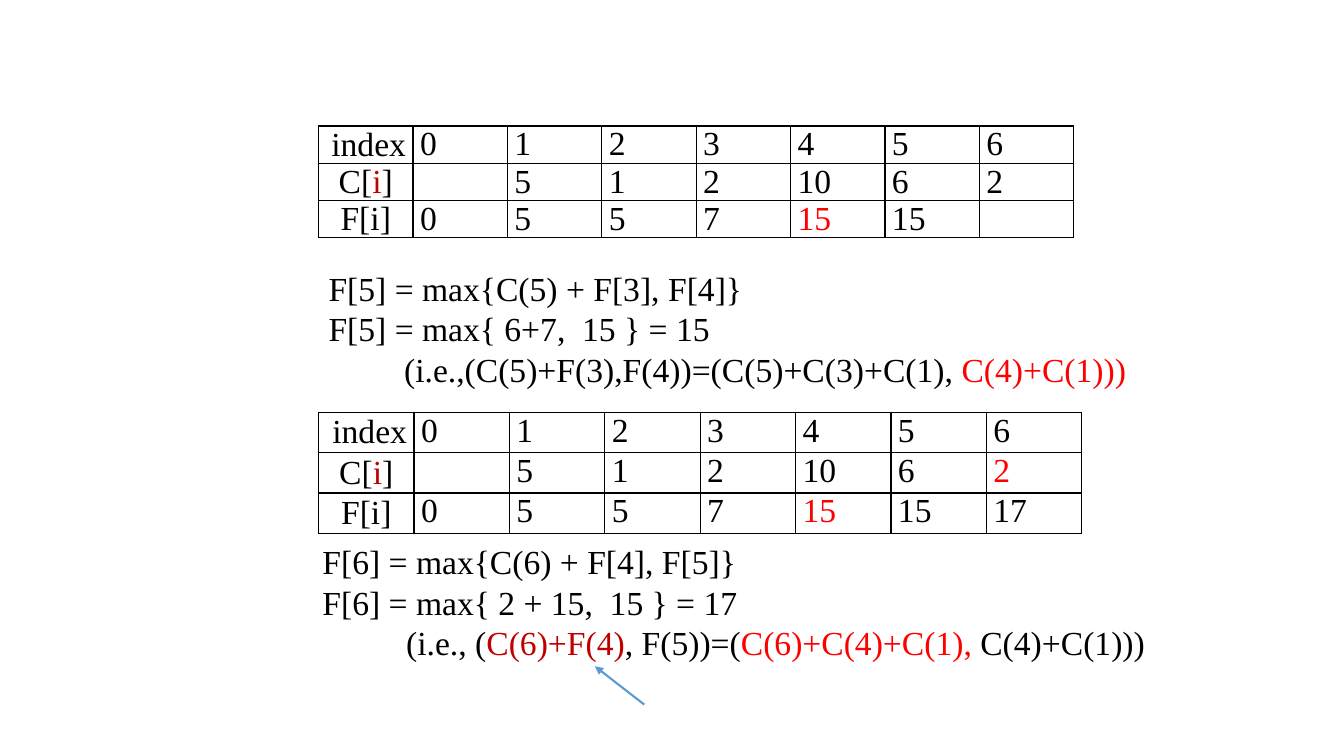
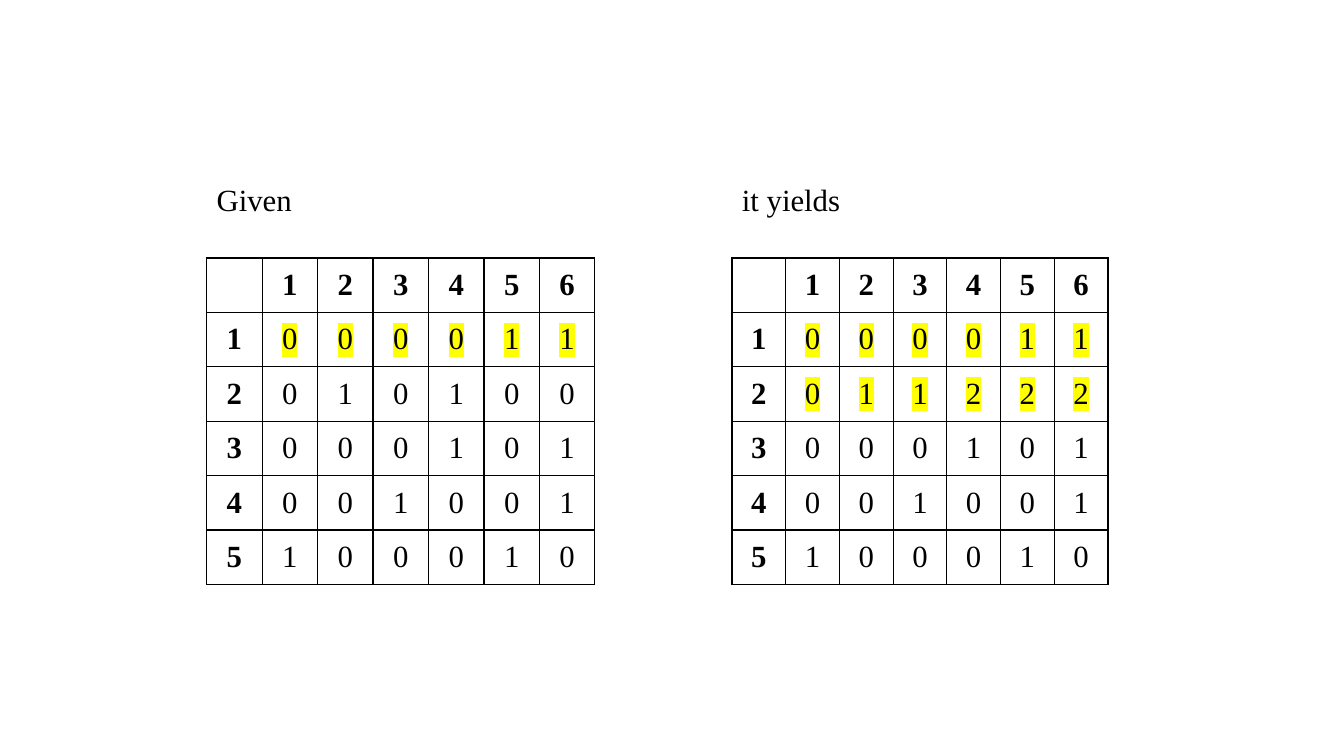
from lxml import etree
from pptx import Presentation
from pptx.dml.color import RGBColor
from pptx.enum.shapes import MSO_CONNECTOR
from pptx.enum.text import MSO_ANCHOR, MSO_AUTO_SIZE, PP_ALIGN
from pptx.oxml import parse_xml
from pptx.oxml.ns import nsdecls, qn
from pptx.util import Inches, Pt

FONT = "Times New Roman"
BLACK, WHITE, RED, DARK_RED = "000000", "FFFFFF", "FF0000", "C00000"
YELLOW, BLUE = "FFFF00", "5B9BD5"
color = RGBColor.from_string


def write(paragraph, spans, size, bold=False):
    """Fill a paragraph from a string or a list of strings and (text, colour) pairs."""
    paragraph.font.name = FONT
    paragraph.font.size = Pt(size)
    paragraph.font.bold = bold
    paragraph.font.color.rgb = color(BLACK)
    for item in [spans] if isinstance(spans, str) else spans:
        text, tint = (item, None) if isinstance(item, str) else item
        span = paragraph.add_run()
        span.text = text
        if tint:
            span.font.color.rgb = color(tint)


def add_grid(page, left, top, width, row_height, rows, columns):
    """Add an empty white table with thin black rules and equal columns."""
    grid = page.shapes.add_table(rows, columns, Inches(left), Inches(top),
                                 Inches(width), Inches(row_height * rows)).table
    grid.first_row = grid.horz_banding = False
    for column in grid.columns:
        column.width = Inches(width / columns)
    for row in grid.rows:
        row.height = Inches(row_height)
    for cell in grid.iter_cells():
        cell.margin_left = cell.margin_right = Inches(0.07)
        cell.margin_top = cell.margin_bottom = 0
        properties = cell._tc.get_or_add_tcPr()
        for side in ("lnL", "lnR", "lnT", "lnB"):
            properties.append(parse_xml(
                f'<a:{side} {nsdecls("a")} w="{Pt(1)}"><a:solidFill>'
                f'<a:srgbClr val="{BLACK}"/></a:solidFill></a:{side}>'))
        cell.fill.solid()
        cell.fill.fore_color.rgb = color(WHITE)
    return grid


deck = Presentation()
deck.slide_width, deck.slide_height = Inches(13.33), Inches(7.5)
blank = deck.slide_layouts[6]
recurrence_page, matrix_page = [deck.slides.add_slide(blank) for _ in range(2)]

# Slide 1: the last two steps of the recurrence
index_row = ["index", *"0123456"]
coin_row = [["C[", ("i", DARK_RED), "]"], "", "5", "1", "2", "10", "6"]
best_row = ["F[i]", "0", "5", "5", "7", [("15", RED)], "15"]
steps = [
    (1.25, 7.49, 0.37, "2", ""),
    (4.09, 7.57, 0.4, [("2", RED)], "17"),
]
for top, width, row_height, last_coin, last_best in steps:
    rows = [index_row, coin_row + [last_coin], best_row + [last_best]]
    grid = add_grid(recurrence_page, 3.16, top, width, row_height, 3, 8)
    for r, row in enumerate(rows):
        for c, value in enumerate(row):
            cell = grid.cell(r, c)
            paragraph = cell.text_frame.paragraphs[0]
            if c == 0:
                cell.vertical_anchor = MSO_ANCHOR.MIDDLE
                paragraph.alignment = PP_ALIGN.CENTER if r else PP_ALIGN.RIGHT
            if value:
                write(paragraph, value, 24)

# Slide 2: the input matrix and the table of results so far
header = ["", *"123456"]
matrix = ["000011", "010100", "000101", "001001", "100010"]
result = [matrix[0], "011222", *matrix[2:]]
for left, width, values, marked_rows in [(2.05, 3.85, matrix, 1),
                                         (7.26, 3.73, result, 2)]:
    rows = [header] + [[str(n), *line] for n, line in enumerate(values, 1)]
    grid = add_grid(matrix_page, left, 2.56, width, 0.54, 6, 7)
    for r, row in enumerate(rows):
        for c, value in enumerate(row):
            if not value:
                continue
            cell = grid.cell(r, c)
            cell.vertical_anchor = MSO_ANCHOR.MIDDLE
            paragraph = cell.text_frame.paragraphs[0]
            paragraph.alignment = PP_ALIGN.CENTER
            write(paragraph, value, 22, bold=r == 0 or c == 0)
            if c and 1 <= r <= marked_rows:
                run_properties = paragraph.runs[0]._r.get_or_add_rPr()
                highlight = etree.SubElement(run_properties, qn("a:highlight"))
                etree.SubElement(highlight, qn("a:srgbClr"), val=YELLOW)

# Text boxes of both slides: page, place, size, and (indent, spans) lines
texts = [
    (recurrence_page, (3.16, 2.61, 8.18, 1.31), 24, [
        (0, "F[5] = max{C(5) + F[3], F[4]}"),
        (0, "F[5] = max{ 6+7,  15 } = 15"),
        (0.75, ["(i.e.,(C(5)+F(3),F(4))=(C(5)+C(3)+C(1), ",
                ("C(4)+C(1)))", RED)]),
    ]),
    (recurrence_page, (2.6, 5.32, 8.97, 1.31), 24, [
        (0.5, "F[6] = max{C(6) + F[4], F[5]}"),
        (0.5, "F[6] = max{ 2 + 15,  15 } = 17"),
        (1.33, ["(i.e., (", ("C(6)+F(4)", DARK_RED), ", F(5))=(",
                ("C(6)+C(4)+C(1),", RED), " C(4)+C(1)))"]),
    ]),
    (matrix_page, (2.05, 1.74, 0.96, 0.47), 22, [(0, "Given")]),
    (matrix_page, (7.26, 1.74, 1.23, 0.47), 22, [(0, "it yields")]),
]
for page, place, size, lines in texts:
    frame = page.shapes.add_textbox(*map(Inches, place)).text_frame
    frame.word_wrap = True
    frame.auto_size = MSO_AUTO_SIZE.SHAPE_TO_FIT_TEXT
    for n, (indent, spans) in enumerate(lines):
        paragraph = frame.add_paragraph() if n else frame.paragraphs[0]
        if indent:
            paragraph._p.get_or_add_pPr().set("marL", str(Inches(indent)))
        write(paragraph, spans, size)

arrow = recurrence_page.shapes.add_connector(
    MSO_CONNECTOR.STRAIGHT, Inches(6.39), Inches(6.99), Inches(5.9), Inches(6.61))
arrow.line.color.rgb = color(BLUE)
arrow.line.width = Pt(1.5)
etree.SubElement(arrow.line._get_or_add_ln(), qn("a:tailEnd"), type="triangle")
etree.SubElement(arrow._element.spPr, qn("a:effectLst"))

deck.save("out.pptx")
